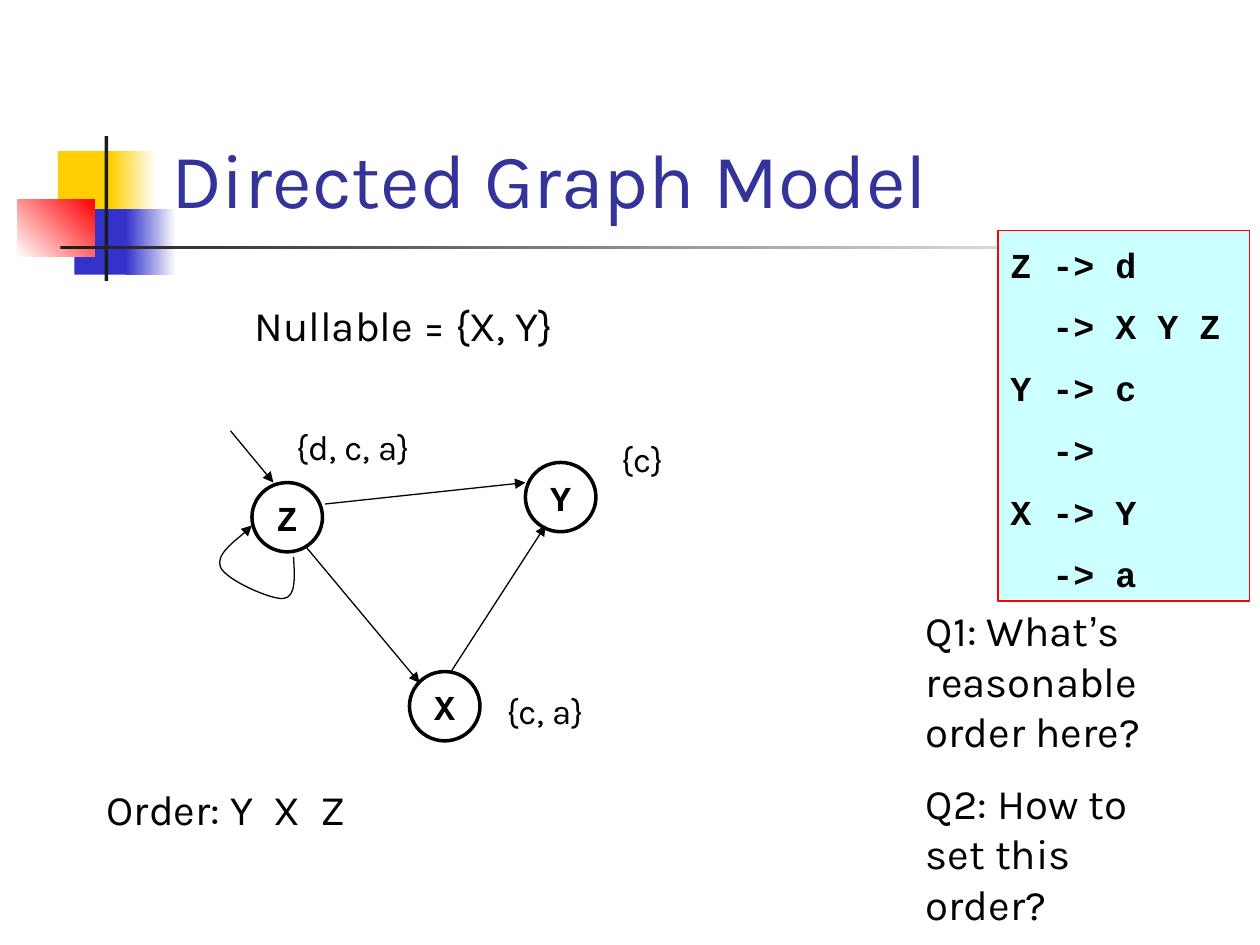
import dataclasses
import typing

import pptx
import pptx.dml.color
import pptx.enum.shapes
import pptx.enum.text
import pptx.oxml
import pptx.oxml.ns
import pptx.util

Inches = pptx.util.Inches
Pt = pptx.util.Pt
RGB = pptx.dml.color.RGBColor
Shape = pptx.enum.shapes.MSO_SHAPE
Anchor = pptx.enum.text.MSO_ANCHOR
Align = pptx.enum.text.PP_ALIGN
qn = pptx.oxml.ns.qn

BLACK = RGB(0x00, 0x00, 0x00)
WHITE = RGB(0xFF, 0xFF, 0xFF)
DARK = RGB(0x1C, 0x1C, 0x1C)
GOLD = RGB(0xFF, 0xCF, 0x01)
BLUE = RGB(0x33, 0x33, 0xCC)
RED = RGB(0xFF, 0x00, 0x00)
NAVY = RGB(0x33, 0x33, 0x99)
CYAN = RGB(0xCC, 0xFF, 0xFF)

SANS = "Karla"
MONO = "Courier New"


class Box(typing.NamedTuple):
    left: float
    top: float
    width: float
    height: float

    def size(self) -> list:
        return [Inches(side) for side in self]


@dataclasses.dataclass
class Block:
    box: Box
    color: RGB
    end: typing.Optional[RGB] = None
    angle: float = 0


@dataclasses.dataclass
class Label:
    box: Box
    text: str
    size: int = 24
    color: RGB = BLACK
    anchor: Anchor = Anchor.TOP


@dataclasses.dataclass
class Node:
    name: str
    left: float
    top: float


class Edge(typing.NamedTuple):
    x1: float
    y1: float
    x2: float
    y2: float


BLOCKS = [
    Block(Box(0.46, 1.2, 0.48, 0.52), GOLD),
    Block(Box(0.88, 1.2, 0.36, 0.52), GOLD, WHITE),
    Block(Box(0.59, 1.66, 0.46, 0.52), BLUE),
    Block(Box(1, 1.66, 0.4, 0.52), BLUE, WHITE),
    Block(Box(0.14, 1.58, 0.61, 0.46), WHITE, RED, 45),
    Block(Box(0.83, 1.08, 0.03, 1.15), DARK),
    Block(Box(0.48, 1.95, 9, 0.03), DARK, WHITE),
]
LABELS = [
    Label(Box(1.26, 0.23, 8.52, 1.6), "Directed Graph Model", 44, NAVY, Anchor.BOTTOM),
    Label(Box(1.92, 2.33, 3.83, 0.5), "Nullable = {X, Y}"),
    Label(Box(7.25, 4.75, 2.17, 1.3), "Q1: What’s reasonable order here?"),
    Label(Box(7.25, 6.12, 2.17, 0.9), "Q2: How to set this order?"),
    Label(Box(4.83, 3.42, 0.92, 0.43), "{c}", 20),
    Label(Box(3.92, 5.42, 1, 0.43), "{c, a}", 20),
    Label(Box(2.25, 3.33, 1.5, 0.43), "{d, c, a}", 20),
    Label(Box(0.75, 6.17, 3.33, 0.5), "Order: Y  X  Z"),
]
RULES = ["Z -> d", "  -> X Y Z", "Y -> c", "  ->", "X -> Y", "  -> a"]
NODES = [Node("Z", 2, 3.83), Node("X", 3.25, 5.33), Node("Y", 4.17, 3.67)]
EDGES = [
    Edge(1.83, 3.42, 2.17, 3.83),
    Edge(2.58, 4, 4.17, 3.83),
    Edge(3.58, 5.33, 4.33, 4.17),
    Edge(2.42, 4.33, 3.33, 5.42),
]
LOOP = [
    (2.33, 4.42),
    (2.34, 4.58), (2.35, 4.74), (2.25, 4.75),
    (2.15, 4.76), (1.79, 4.6), (1.75, 4.5),
    (1.71, 4.4), (1.96, 4.22), (2, 4.17),
]


def style(para, size: int, color: RGB, face: typing.Optional[str] = None, bold: bool = False) -> None:
    font = para.font
    font.size = Pt(size)
    font.color.rgb = color
    font.bold = bold
    if face:
        font.name = face


def block(shapes, item: Block) -> None:
    shape = shapes.add_shape(Shape.RECTANGLE, *item.box.size())
    shape.shadow.inherit = False
    shape.line.fill.background()
    if item.end is None:
        shape.fill.solid()
        shape.fill.fore_color.rgb = item.color
        return
    shape.fill.gradient()
    shape.fill.gradient_angle = item.angle
    for stop, color in zip(shape.fill.gradient_stops, (item.color, item.end)):
        stop.color.rgb = color


def label(shapes, item: Label) -> None:
    frame = shapes.add_textbox(*item.box.size()).text_frame
    frame.word_wrap = True
    frame.vertical_anchor = item.anchor
    para = frame.paragraphs[0]
    if "’" not in item.text:
        para.text = item.text
        style(para, item.size, item.color, SANS)
        return
    for part, face in zip(item.text.partition("’"), (SANS, "Arial", SANS)):
        run = para.add_run()
        run.text = part
        run.font.name = face
    style(para, item.size, item.color)


def code(shapes, box: Box, lines: list) -> None:
    shape = shapes.add_shape(Shape.RECTANGLE, *box.size())
    shape.shadow.inherit = False
    shape.fill.solid()
    shape.fill.fore_color.rgb = CYAN
    shape.line.color.rgb = RED
    shape.line.width = Pt(0.75)
    frame = shape.text_frame
    frame.vertical_anchor = Anchor.TOP
    frame.margin_top = Inches(0.1)
    frame.text = "\n".join(lines)
    for index, para in enumerate(frame.paragraphs):
        para.alignment = Align.LEFT
        if index:
            para.space_before = Pt(11.3)
        style(para, 20, BLACK, MONO, True)


def node(shapes, item: Node) -> None:
    box = Box(item.left, item.top, 0.56, 0.55)
    shape = shapes.add_shape(Shape.OVAL, *box.size())
    shape.shadow.inherit = False
    shape.fill.background()
    shape.line.color.rgb = BLACK
    shape.line.width = Pt(2)
    frame = shape.text_frame
    frame.word_wrap = False
    frame.vertical_anchor = Anchor.MIDDLE
    para = frame.paragraphs[0]
    para.text = item.name
    para.alignment = Align.CENTER
    style(para, 20, BLACK, MONO, True)


def arrow(line) -> None:
    line.color.rgb = BLACK
    line.width = Pt(0.75)
    tail = pptx.oxml.parse_xml(f'<a:tailEnd {pptx.oxml.ns.nsdecls("a")} type="triangle"/>')
    line.fill._xPr.append(tail)


def edge(shapes, item: Edge) -> None:
    kind = pptx.enum.shapes.MSO_CONNECTOR.STRAIGHT
    link = shapes.add_connector(kind, *[Inches(end) for end in item])
    arrow(link.line)
    link._element.spPr.append(pptx.oxml.parse_xml(f'<a:effectLst {pptx.oxml.ns.nsdecls("a")}/>'))


def curve(shapes, points: list) -> None:
    start, *rest = [(Inches(x), Inches(y)) for x, y in points]
    pen = shapes.build_freeform(*start)
    pen.add_line_segments(rest, close=False)
    shape = pen.convert_to_shape()
    shape.shadow.inherit = False
    shape.fill.background()
    arrow(shape.line)
    track = next(shape._element.iter(qn("a:path")))
    legs = track.findall(qn("a:lnTo"))
    for first in range(0, len(legs), 3):
        bend = track.makeelement(qn("a:cubicBezTo"))
        for leg in legs[first:first + 3]:
            bend.append(leg[0])
            track.remove(leg)
        track.append(bend)


def main() -> None:
    deck = pptx.Presentation()
    deck.slide_width, deck.slide_height = Inches(10), Inches(7.5)
    shapes = deck.slides.add_slide(deck.slide_layouts[6]).shapes
    for item in BLOCKS:
        block(shapes, item)
    code(shapes, Box(7.92, 1.83, 2, 2.94), RULES)
    for draw, items in ((label, LABELS), (node, NODES), (edge, EDGES)):
        for item in items:
            draw(shapes, item)
    curve(shapes, LOOP)
    deck.save("out.pptx")


if __name__ == "__main__":
    main()
